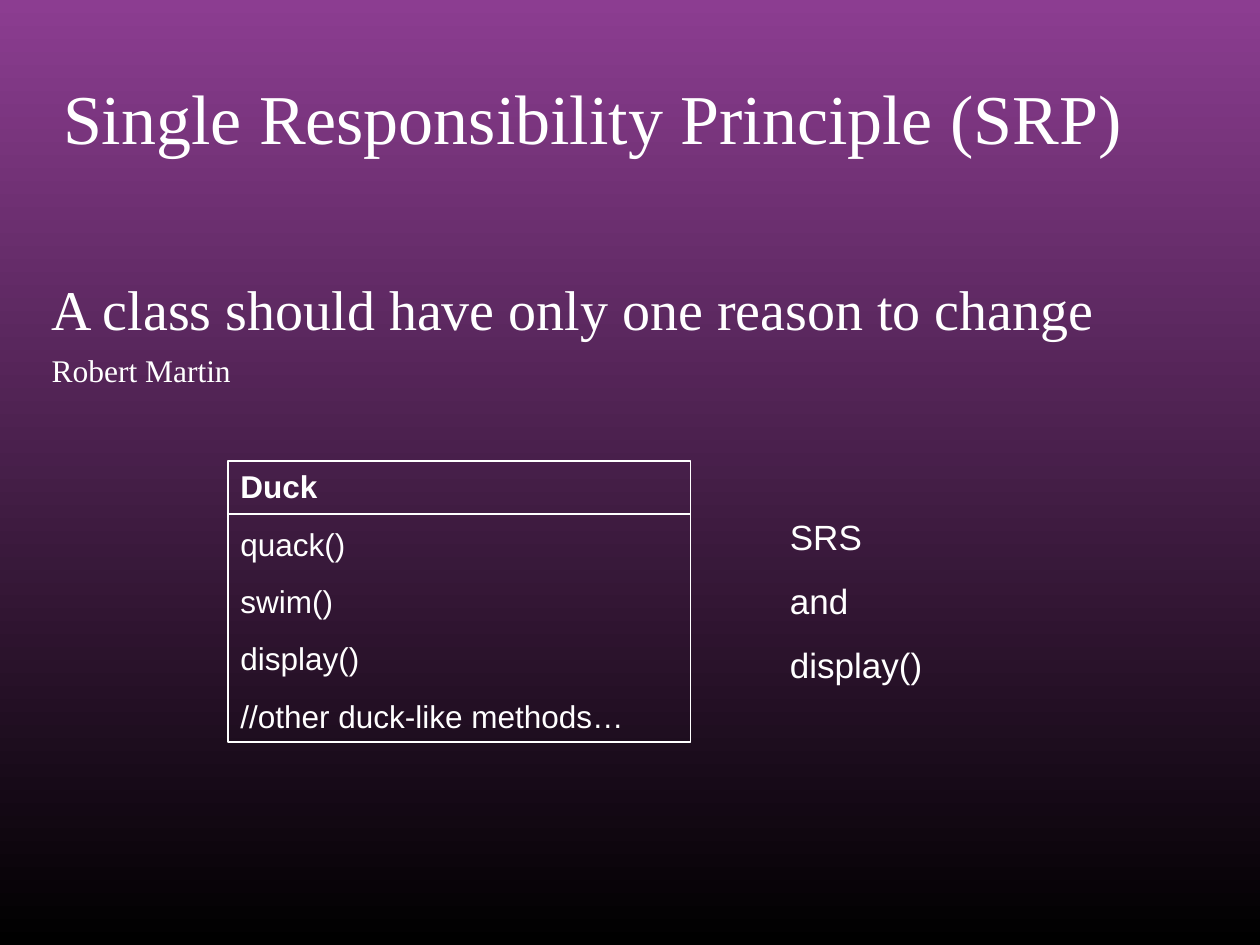
from pptx import Presentation
from pptx.dml.color import RGBColor
from pptx.enum.shapes import MSO_CONNECTOR, MSO_SHAPE
from pptx.enum.text import MSO_ANCHOR, PP_ALIGN
from pptx.oxml.ns import qn
from pptx.util import Inches, Pt
from lxml.etree import SubElement

COLORS = {"text": "FFFFFF", "bottom": "000000", "top": "8C3D91"}
SERIF, SANS = "Times New Roman", "Arial"


def rgb(name):
    return RGBColor.from_string(COLORS[name])


def set_frame(frame, inset_x=0, inset_y=0, wrap=True, anchor=MSO_ANCHOR.TOP):
    frame.margin_left = frame.margin_right = Inches(inset_x)
    frame.margin_top = frame.margin_bottom = Inches(inset_y)
    frame.word_wrap = wrap
    frame.vertical_anchor = anchor


def write_lines(frame, lines, font, sizes, before=0, after=0):
    """Fill the frame with one left-aligned paragraph per line."""
    frame.text = "\n".join(lines)
    for paragraph, size in zip(frame.paragraphs, sizes):
        paragraph.alignment = PP_ALIGN.LEFT
        paragraph.space_before, paragraph.space_after = Pt(before), Pt(after)
        for run in paragraph.runs:
            run.font.name, run.font.size = font, Pt(size)
            run.font.bold = False
            run.font.color.rgb = rgb("text")


def paint_background(slide):
    fill = slide.background.fill
    fill.gradient()
    fill.gradient_angle = 90
    for stop, name in zip(fill.gradient_stops, ("bottom", "top")):
        stop.color.rgb = rgb(name)


def place_title(slide, left, top, width, height):
    title = slide.shapes.title
    title.left, title.top, title.width, title.height = left, top, width, height
    set_frame(title.text_frame, anchor=MSO_ANCHOR.MIDDLE)
    write_lines(title.text_frame, ["Single Responsibility Principle (SRP)"], SERIF, [40])


def add_quote(slide, left, top, width, height):
    quote = slide.shapes.add_textbox(left, top, width, height)
    set_frame(quote.text_frame, wrap=False)
    write_lines(quote.text_frame,
                ["A class should have only one reason to change", "Robert Martin"],
                SERIF, [32, 18], before=2.5, after=2.5)


def add_class_box(slide, left, top, width, height, header_height):
    # Outline with the class name and its methods
    duck = slide.shapes.add_shape(MSO_SHAPE.RECTANGLE, left, top, width, height)
    duck.shadow.inherit = False
    duck.fill.background()
    duck.line.color.rgb = rgb("text")
    duck.line.width = Pt(0.75)
    set_frame(duck.text_frame, 0.1, 0.05)
    members = ["Duck", "quack()", "swim()", "display()", "//other duck-like methods…"]
    write_lines(duck.text_frame, members, SANS, [18] * len(members), before=11.2)
    duck.text_frame.paragraphs[0].runs[0].font.bold = True

    # Rule under the class name
    rule_y = top + header_height
    rule = slide.shapes.add_connector(MSO_CONNECTOR.STRAIGHT,
                                      left, rule_y, left + width, rule_y)
    rule.line.color.rgb = rgb("text")
    rule.line.width = Pt(0.75)
    SubElement(rule._element.spPr, qn("a:effectLst"))


def add_side_note(slide, left, top, width, height):
    note = slide.shapes.add_textbox(left, top, width, height)
    set_frame(note.text_frame, 0.1, 0.05)
    write_lines(note.text_frame, ["SRS", "and", "display()"], SANS, [20] * 3,
                before=12.5)


def main():
    deck = Presentation()
    deck.slide_width, deck.slide_height = Inches(10), Inches(7.5)
    slide = deck.slides.add_slide(deck.slide_layouts.get_by_name("Title Only"))
    paint_background(slide)
    place_title(slide, Inches(0.5), Inches(0.3), Inches(9.34), Inches(1.25))
    add_quote(slide, Inches(0.41), Inches(2.18), Inches(8.31), Inches(0.9))
    add_class_box(slide, Inches(1.81), Inches(3.66), Inches(3.67), Inches(2.23),
                  header_height=Inches(0.42))
    add_side_note(slide, Inches(6.17), Inches(4.04), Inches(2.42), Inches(1.45))
    deck.save("out.pptx")


if __name__ == "__main__":
    main()
